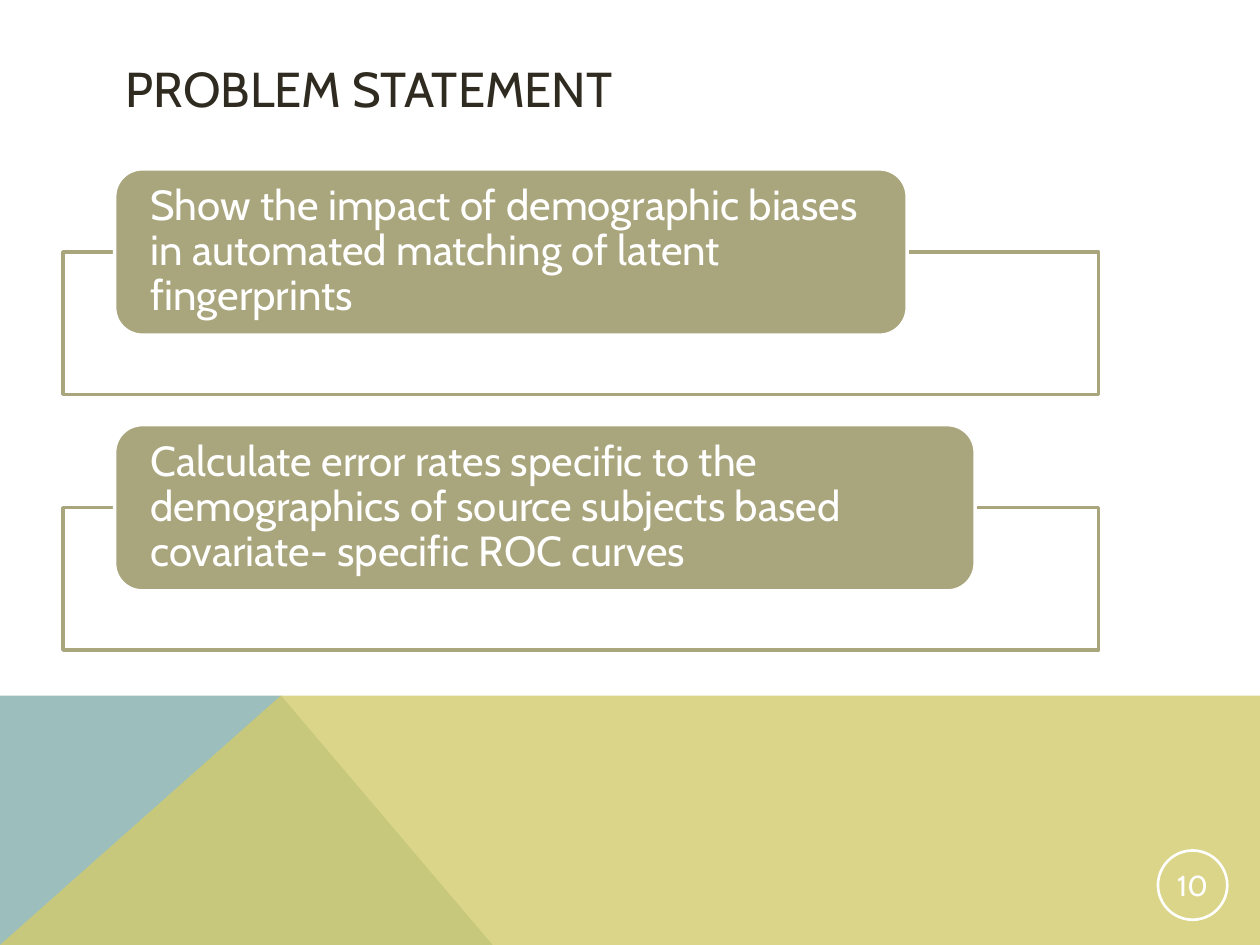
from lxml import etree
from pptx import Presentation
from pptx.dml.color import RGBColor
from pptx.enum import shapes, text
from pptx.oxml.ns import qn
from pptx.util import Inches, Pt

# Content
TITLE = "PROBLEM STATEMENT"
PAGE_NUMBER = "10"
STATEMENTS = [  # text, width of its label
    ("Show the impact of demographic biases in automated matching of latent fingerprints", 6.29),
    ("Calculate error rates specific to the demographics of source subjects based "
     "covariate- specific ROC curves", 6.83),
]

# Style
FONT = "Cabin"
WHITE = RGBColor(0xFF, 0xFF, 0xFF)
DARK = RGBColor(0x2F, 0x2B, 0x20)
OLIVE = RGBColor(0xA9, 0xA5, 0x7C)
BLUE = RGBColor(0x9C, 0xBE, 0xBD)
YELLOW = RGBColor(0xD2, 0xCB, 0x6C)

# Layout in inches
WIDTH, HEIGHT = 10, 7.5
BAND_TOP, PEAK = 5.52, 2.23
FIRST_TOP, PITCH = 1.34, 2.03
LABEL_HEIGHT, FRAME_HEIGHT = 1.32, 1.13


def style(shape, fill=None, line=None, line_width=2, opacity=100):
    shape.shadow.inherit = False
    if fill is None:
        shape.fill.background()
    else:
        shape.fill.solid()
        shape.fill.fore_color.rgb = fill
        if opacity < 100:
            color = shape.fill._xPr.find(qn("a:solidFill"))[0]
            etree.SubElement(color, qn("a:alpha"), val=str(opacity * 1000))
    if line is None:
        shape.line.fill.background()
    else:
        shape.line.color.rgb = line
        shape.line.width = Pt(line_width)


def add_shape(kind, left, top, width, height, **look):
    shape = slide.shapes.add_shape(kind, *map(Inches, (left, top, width, height)))
    style(shape, **look)
    return shape


def add_polygon(points, **look):
    corners = [(Inches(x), Inches(y)) for x, y in points]
    builder = slide.shapes.build_freeform(*corners[0], scale=1.0)
    builder.add_line_segments(corners[1:], close=True)
    style(builder.convert_to_shape(), **look)


def write(shape, words, size, color, align=text.PP_ALIGN.LEFT, insets=(0.1, 0.05), spacing=1.0):
    frame = shape.text_frame
    frame.word_wrap = True
    frame.vertical_anchor = text.MSO_ANCHOR.MIDDLE
    frame.margin_left = frame.margin_right = Inches(insets[0])
    frame.margin_top = frame.margin_bottom = Inches(insets[1])
    paragraph = frame.paragraphs[0]
    paragraph.alignment = align
    paragraph.line_spacing = spacing
    run = paragraph.add_run()
    run.text = words
    run.font.name = FONT
    run.font.size = Pt(size)
    run.font.color.rgb = color


presentation = Presentation()
presentation.slide_width, presentation.slide_height = Inches(WIDTH), Inches(HEIGHT)
slide = presentation.slides.add_slide(presentation.slide_layouts[6])

# Bottom band
add_polygon([(0, HEIGHT), (0, BAND_TOP), (PEAK, BAND_TOP), (3.91, HEIGHT)], fill=BLUE)
add_polygon([(0, HEIGHT), (PEAK, BAND_TOP), (WIDTH, BAND_TOP), (WIDTH, HEIGHT)],
            fill=YELLOW, opacity=80)

# Title
title = slide.shapes.add_textbox(Inches(0.9), Inches(0.4), Inches(8.22), Inches(0.6))
write(title, TITLE, 28, DARK)

# Page number
badge = add_shape(shapes.MSO_SHAPE.OVAL, 9.19, 6.75, 0.55, 0.55, line=WHITE, line_width=1.5)
write(badge, PAGE_NUMBER, 16.5, WHITE, align=text.PP_ALIGN.CENTER, insets=(0.01, 0.01))

# Statements: each frame starts at the middle of its label
for index, (words, label_width) in enumerate(STATEMENTS):
    top = FIRST_TOP + index * PITCH
    add_shape(shapes.MSO_SHAPE.RECTANGLE, 0.5, top + LABEL_HEIGHT / 2, 8.22, FRAME_HEIGHT,
              fill=WHITE, opacity=90, line=OLIVE)
    label = add_shape(shapes.MSO_SHAPE.ROUNDED_RECTANGLE, 0.91, top, label_width, LABEL_HEIGHT,
                      fill=OLIVE, line=WHITE)
    write(label, words, 24, WHITE, insets=(0.22, 0), spacing=0.9)

presentation.save("out.pptx")
